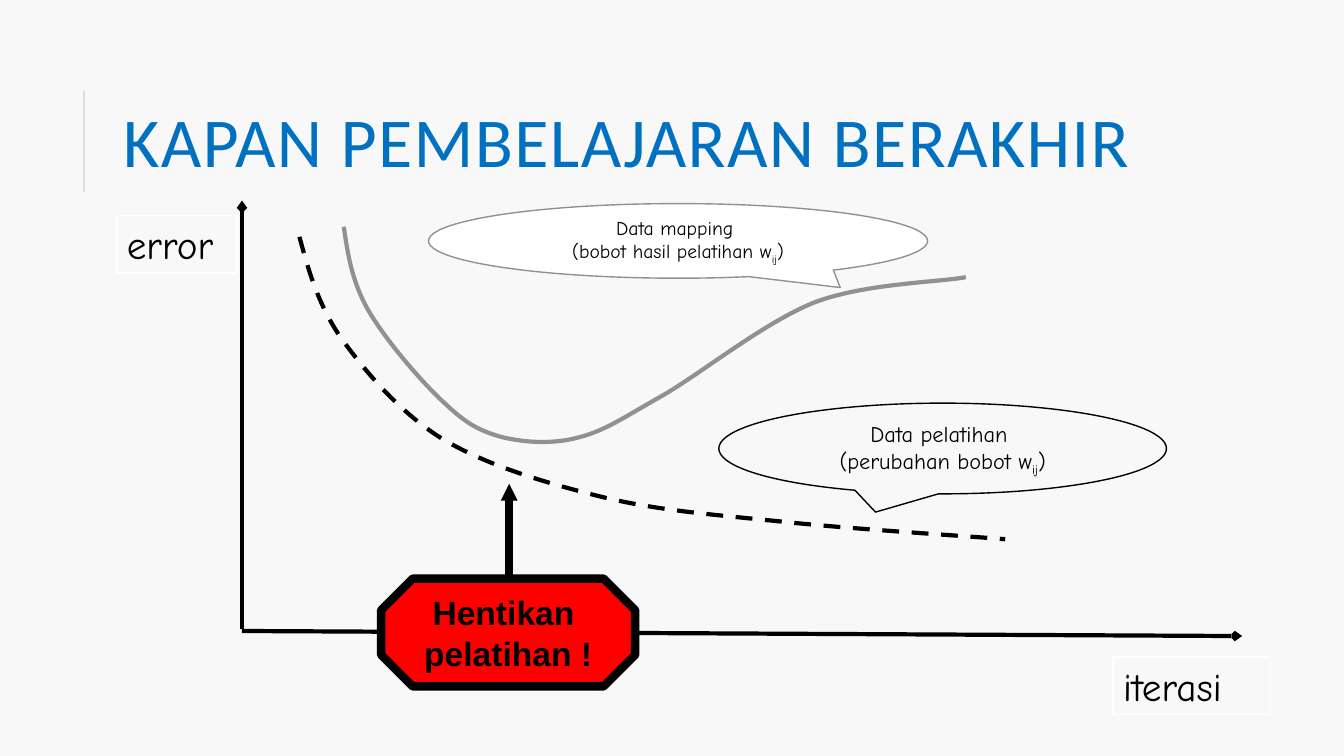
"""Slide on when training should stop: two error curves over iterations."""
import pptx
import pptx.util
import pptx.oxml.ns
import pptx.dml.color
import pptx.enum.dml
import pptx.enum.shapes
import pptx.enum.text
import lxml.etree

Inches, Pt = pptx.util.Inches, pptx.util.Pt
SHAPE = pptx.enum.shapes.MSO_SHAPE
ALIGN = pptx.enum.text.PP_ALIGN
ANCHOR = pptx.enum.text.MSO_ANCHOR
DASH = pptx.enum.dml.MSO_LINE.DASH
BLACK, GRAY, WHITE, HAND = "000000", "919191", "FFFFFF", "Comic Neue"

TITLE = "KAPAN PEMBELAJARAN BERAKHIR"
RULE = ((0.83, 1.9), (0.83, 0.9), "DDDDDD", 1.5, None)
AXES = [
    ((2.4, 6.24), (2.4, 1.99), BLACK, 3, "arrow"),
    ((2.4, 6.26), (12.32, 6.31), BLACK, 3, "arrow"),
]
STOP = ((5.05, 5.72), (5.05, 4.8), BLACK, 6, "triangle")
LABELS = [
    ("error", (1.16, 2.14, 1.19, 0.57), False),
    ("iterasi", (11.04, 6.52, 1.56, 0.57), True),
]
TRAIN = [
    (2.97, 2.35), (3.06, 2.68), (3.15, 3.01), (3.38, 3.35),
    (3.62, 3.68), (3.95, 4.08), (4.38, 4.35),
    (4.81, 4.61), (5.4, 4.79), (5.97, 4.93),
    (6.54, 5.07), (7.13, 5.11), (7.8, 5.18),
    (8.47, 5.25), (9.61, 5.32), (9.97, 5.35),
]
MAPPING = [
    (3.41, 2.25), (3.45, 2.52), (3.49, 2.8), (3.66, 3.09),
    (3.83, 3.38), (4.19, 3.8), (4.41, 4),
    (4.63, 4.21), (4.77, 4.28), (4.99, 4.34),
    (5.21, 4.39), (5.48, 4.41), (5.74, 4.34),
    (6.01, 4.27), (6.19, 4.14), (6.58, 3.92),
    (6.96, 3.7), (7.58, 3.2), (8.08, 3),
    (8.58, 2.81), (9.33, 2.8), (9.58, 2.75),
]
TRAIN_NOTE = ["Data pelatihan ", "(perubahan bobot w|ij|)"]
MAP_NOTE = ["Data mapping \n(bobot hasil pelatihan w|ij|)"]
STOP_NOTE = ["Hentikan ", "pelatihan !"]


def color(code):
    return pptx.dml.color.RGBColor.from_string(code)


def style(shape, fill, line, width):
    shape.shadow.inherit = False
    if fill:
        shape.fill.solid()
        shape.fill.fore_color.rgb = color(fill)
    else:
        shape.fill.background()
    shape.line.color.rgb = color(line)
    shape.line.width = Pt(width)


def dress(run, size, font, code, bold=False):
    run.font.size, run.font.name, run.font.bold = Pt(size), font, bold
    run.font.color.rgb = color(code)


def write(frame, lines, size, font=HAND, align=ALIGN.CENTER, bold=False, gap=None):
    for i, line in enumerate(lines):
        para = frame.add_paragraph() if i else frame.paragraphs[0]
        para.alignment, para.line_spacing = align, gap
        for row, words in enumerate(line.split("\n")):
            if row:
                para.add_line_break()
            for j, part in enumerate(words.split("|")):
                run = para.add_run()
                run.text = part
                dress(run, size, font, BLACK, bold)
                if j % 2:
                    run.font._element.set("baseline", "-25000")


def add_box(kind, box, fill, line, width, adjust=()):
    shape = shapes.add_shape(kind, *map(Inches, box))
    for i, value in enumerate(adjust):
        shape.adjustments[i] = value
    style(shape, fill, line, width)
    shape.text_frame.word_wrap = True
    shape.text_frame.vertical_anchor = ANCHOR.MIDDLE
    return shape.text_frame


def add_line(start, end, code, width, head):
    kind = pptx.enum.shapes.MSO_CONNECTOR.STRAIGHT
    line = shapes.add_connector(kind, *map(Inches, start + end))
    line.line.color.rgb = color(code)
    line.line.width = Pt(width)
    if head:
        tail = lxml.etree.SubElement(line.line._get_or_add_ln(), tag("a:tailEnd"))
        for key, value in (("type", head), ("w", "sm"), ("len", "sm")):
            tail.set(key, value)
    lxml.etree.SubElement(line._element.spPr, tag("a:effectLst"))


def add_curve(knots, code, dash=None):
    dots = [tuple(map(Inches, knot)) for knot in knots]
    pen = shapes.build_freeform(*dots[0])
    pen.add_line_segments(dots[1:], close=False)
    curve = pen.convert_to_shape()
    steps = list(curve._element.iter(tag("a:lnTo")))
    for i in range(0, len(steps), 3):
        bend = lxml.etree.Element(tag("a:cubicBezTo"))
        steps[i].addprevious(bend)
        for step in steps[i:i + 3]:
            bend.append(step[0])
            step.getparent().remove(step)
    style(curve, None, code, 3)
    curve.line.dash_style = dash


tag = pptx.oxml.ns.qn
deck = pptx.Presentation()
deck.slide_width, deck.slide_height = Inches(13.33), Inches(7.5)
slide = deck.slides.add_slide(deck.slide_layouts[5])
shapes = slide.shapes
slide.background.fill.solid()
slide.background.fill.fore_color.rgb = color("F8F8F8")

add_line(*RULE)
title = shapes.title
title.left, title.top, title.width, title.height = map(Inches, (1.12, 0.64, 10.63, 1.64))
head = title.text_frame
head.text = TITLE
head.auto_size = pptx.enum.text.MSO_AUTO_SIZE.NONE
head.vertical_anchor = ANCHOR.MIDDLE
head.paragraphs[0].alignment = ALIGN.LEFT
head.paragraphs[0].line_spacing = 0.8
name = head.paragraphs[0].runs[0]
dress(name, 50, "Calibri", "0070C0")
name.font._element.set("spc", "100")

for axis in AXES:
    add_line(*axis)
for text, box, wrap in LABELS:
    frame = add_box(SHAPE.RECTANGLE, box, None, WHITE, 1)
    frame.word_wrap = wrap
    frame.vertical_anchor = ANCHOR.TOP
    write(frame, [text], 28, align=ALIGN.LEFT)

add_curve(TRAIN, BLACK, DASH)
frame = add_box(SHAPE.OVAL_CALLOUT, (7.13, 4, 4.44, 0.9), None, BLACK, 1, (-0.15, 0.701))
write(frame, TRAIN_NOTE, 16)
add_curve(MAPPING, GRAY)
frame = add_box(SHAPE.OVAL_CALLOUT, (4.25, 2.02, 4.95, 0.74), WHITE, GRAY, 1, (0.325, 0.625))
write(frame, MAP_NOTE, 14, gap=0.9)

add_line(*STOP)
frame = add_box(SHAPE.OCTAGON, (3.78, 5.74, 2.52, 1.07), "FF0000", BLACK, 6, (0.293,))
frame.word_wrap = False
write(frame, STOP_NOTE, 24, "Arial", bold=True)

deck.save("out.pptx")
